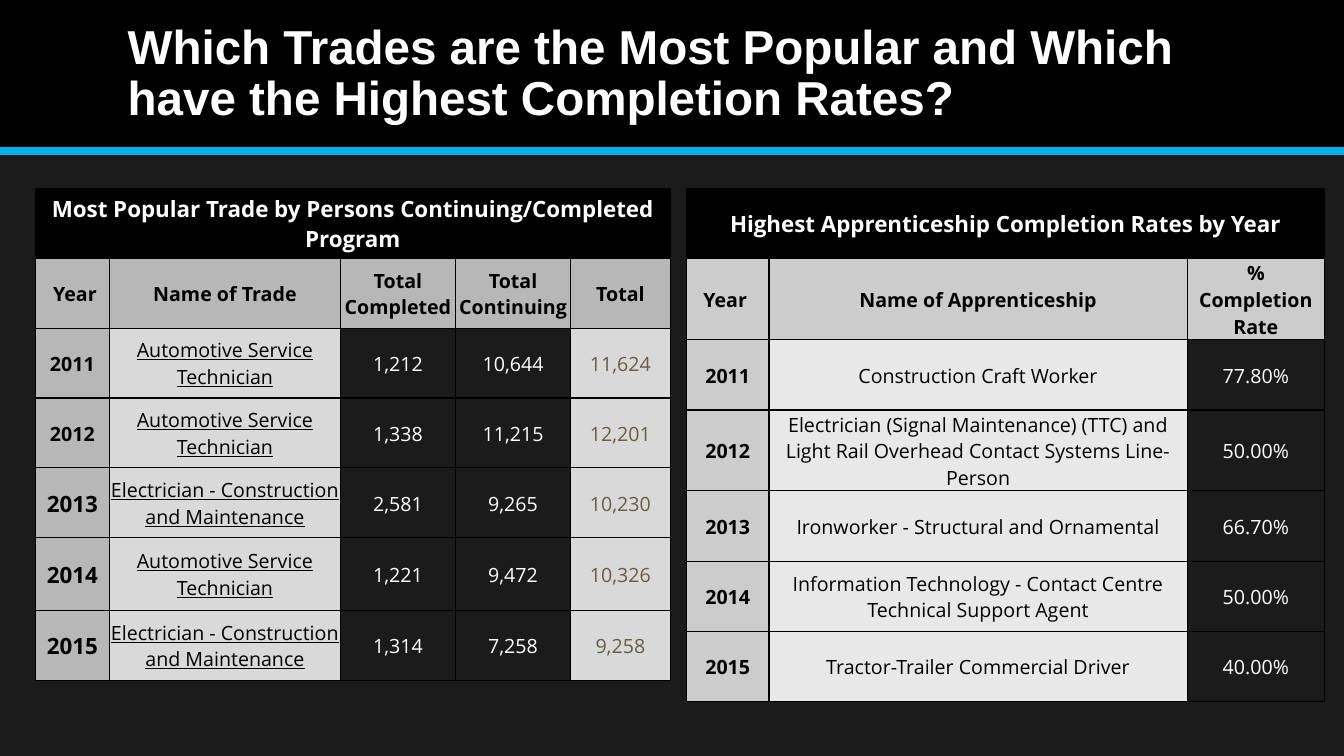
from lxml.etree import SubElement
from pptx import Presentation
from pptx.dml.color import RGBColor
from pptx.enum.shapes import MSO_CONNECTOR, MSO_SHAPE
from pptx.enum.text import MSO_ANCHOR, PP_ALIGN
from pptx.oxml.ns import qn
from pptx.util import Cm, Pt

# Content
TITLE = "Which Trades are the Most Popular and Which have the Highest Completion Rates?"
AUTO = "Automotive Service Technician"
ELECTRICIAN = "Electrician - Construction and Maintenance"

POPULAR = {
    "title": "Most Popular Trade by Persons Continuing/Completed Program",
    "header": [" Year", "Name of Trade", "Total Completed", "Total Continuing", "Total"],
    "rows": [
        ("2011", AUTO, "1,212", "10,644", "11,624"),
        ("2012", AUTO, "1,338", "11,215", "12,201"),
        ("2013", ELECTRICIAN, "2,581", "9,265", "10,230"),
        ("2014", AUTO, "1,221", "9,472", "10,326"),
        ("2015", ELECTRICIAN, "1,314", "7,258", "9,258"),
    ],
}
COMPLETION = {
    "title": "Highest Apprenticeship Completion Rates by Year",
    "header": ["Year ", "Name of Apprenticeship", "% Completion Rate"],
    "rows": [
        ("2011", "Construction Craft Worker", "77.80%"),
        ("2012", "Electrician (Signal Maintenance) (TTC) and Light Rail Overhead "
                 "Contact Systems Line-Person", "50.00%"),
        ("2013", "Ironworker - Structural and Ornamental", "66.70%"),
        ("2014", "Information Technology - Contact Centre Technical Support Agent", "50.00%"),
        ("2015", "Tractor-Trailer Commercial Driver", "40.00%"),
    ],
}

THEME = {
    "background": "1B1B1B", "black": "000000", "white": "FFFFFF", "accent": "00B0EA",
    "total": "695D46", "head_left": "B7B7B7", "body_left": "D9D9D9",
    "head_right": "CCCCCC", "body_right": "E8E8E8",
    "title_font": "Arial", "table_font": "Open Sans",
    "title_size": 34, "caption_size": 16, "text_size": 14,
}

# Column looks: fill, text colour, bold, underline
CAPTION = ("black", "white", True, False)
HEAD_LEFT = ("head_left", "black", True, False)
HEAD_RIGHT = ("head_right", "black", True, False)
FIGURE = (None, "white", False, False)
LEFT_LOOKS = [HEAD_LEFT, ("body_left", "black", False, True), FIGURE, FIGURE,
              ("body_left", "total", False, False)]
RIGHT_LOOKS = [HEAD_RIGHT, ("body_right", "black", False, False), FIGURE]

# Row heights in cm; the tall rows hold three lines of text
NORMAL, TALL = 1.77, 2.04
LEFT_HEIGHTS = [1.76] * 5 + [1.83, 1.76]
RIGHT_HEIGHTS = [NORMAL, TALL, NORMAL, TALL, NORMAL, NORMAL, NORMAL]


def color(name):
    return RGBColor.from_string(THEME[name])


def add_run(p, text, font, size, ink, bold, underline=False):
    r = p.add_run()
    r.text = text
    r.font.name = THEME[font]
    r.font.size = Pt(THEME[size])
    r.font.color.rgb = color(ink)
    r.font.bold = bold
    r.font.underline = underline


def add_borders(cell):
    props = cell._tc.get_or_add_tcPr()
    for side in ("a:lnL", "a:lnR", "a:lnT", "a:lnB"):
        line = SubElement(props, qn(side), w=str(Pt(1)))
        fill = SubElement(line, qn("a:solidFill"))
        SubElement(fill, qn("a:srgbClr"), val=THEME["black"])


def fill_cell(cell, text, look, size="text_size"):
    fill, ink, bold, underline = look
    if fill:
        cell.fill.solid()
        cell.fill.fore_color.rgb = color(fill)
    else:
        cell.fill.background()
    cell.vertical_anchor = MSO_ANCHOR.MIDDLE
    cell.margin_left = cell.margin_right = cell.margin_top = Cm(0.03)
    cell.margin_bottom = 0
    p = cell.text_frame.paragraphs[0]
    p.alignment = PP_ALIGN.CENTER
    add_run(p, text, "table_font", size, ink, bold, underline)


def add_trade_table(s, data, left, widths, heights, looks, large_years=()):
    frame = s.shapes.add_table(len(heights), len(widths), Cm(left), Cm(4.75),
                               Cm(sum(widths)), Cm(sum(heights)))
    table = frame.table
    table.first_row = table.horz_banding = False
    for column, width in zip(table.columns, widths):
        column.width = Cm(width)
    for row, height in zip(table.rows, heights):
        row.height = Cm(height)
    for cell in table.iter_cells():
        add_borders(cell)

    # Caption across the full width, then the header row
    caption = table.cell(0, 0)
    caption.merge(table.cell(0, len(widths) - 1))
    fill_cell(caption, data["title"], CAPTION, "caption_size")
    for c, text in enumerate(data["header"]):
        fill_cell(table.cell(1, c), text, looks[0])

    # One row per year
    for r, values in enumerate(data["rows"], start=2):
        for c, (text, look) in enumerate(zip(values, looks)):
            size = "caption_size" if text in large_years else "text_size"
            fill_cell(table.cell(r, c), text, look, size)


def main():
    prs = Presentation()
    prs.slide_width, prs.slide_height = Cm(33.87), Cm(19.05)
    s = prs.slides.add_slide(prs.slide_layouts[6])
    s.background.fill.solid()
    s.background.fill.fore_color.rgb = color("background")

    # Title band and accent line
    band = s.shapes.add_shape(MSO_SHAPE.RECTANGLE, 0, 0, prs.slide_width, Cm(3.81))
    band.shadow.inherit = False
    band.fill.solid()
    band.fill.fore_color.rgb = color("black")
    band.line.fill.background()
    rule = s.shapes.add_connector(MSO_CONNECTOR.STRAIGHT, 0, Cm(3.81),
                                  prs.slide_width, Cm(3.81))
    rule.line.color.rgb = color("accent")
    rule.line.width = Pt(6)
    SubElement(rule._element.spPr, qn("a:effectLst"))

    # Title
    sp = s.shapes.add_textbox(Cm(2.97), Cm(0.36), Cm(27.94), Cm(3.05))
    tf = sp.text_frame
    tf.word_wrap = True
    tf.vertical_anchor = MSO_ANCHOR.MIDDLE
    p = tf.paragraphs[0]
    p.line_spacing = 0.9
    add_run(p, TITLE, "title_font", "title_size", "white", True)

    # Tables
    add_trade_table(s, POPULAR, 0.89, [1.87, 5.82, 2.9, 2.9, 2.51],
                    LEFT_HEIGHTS, LEFT_LOOKS, ("2013", "2014", "2015"))
    add_trade_table(s, COMPLETION, 17.3, [2.08, 10.54, 3.46],
                    RIGHT_HEIGHTS, RIGHT_LOOKS)
    prs.save("out.pptx")


if __name__ == "__main__":
    main()
